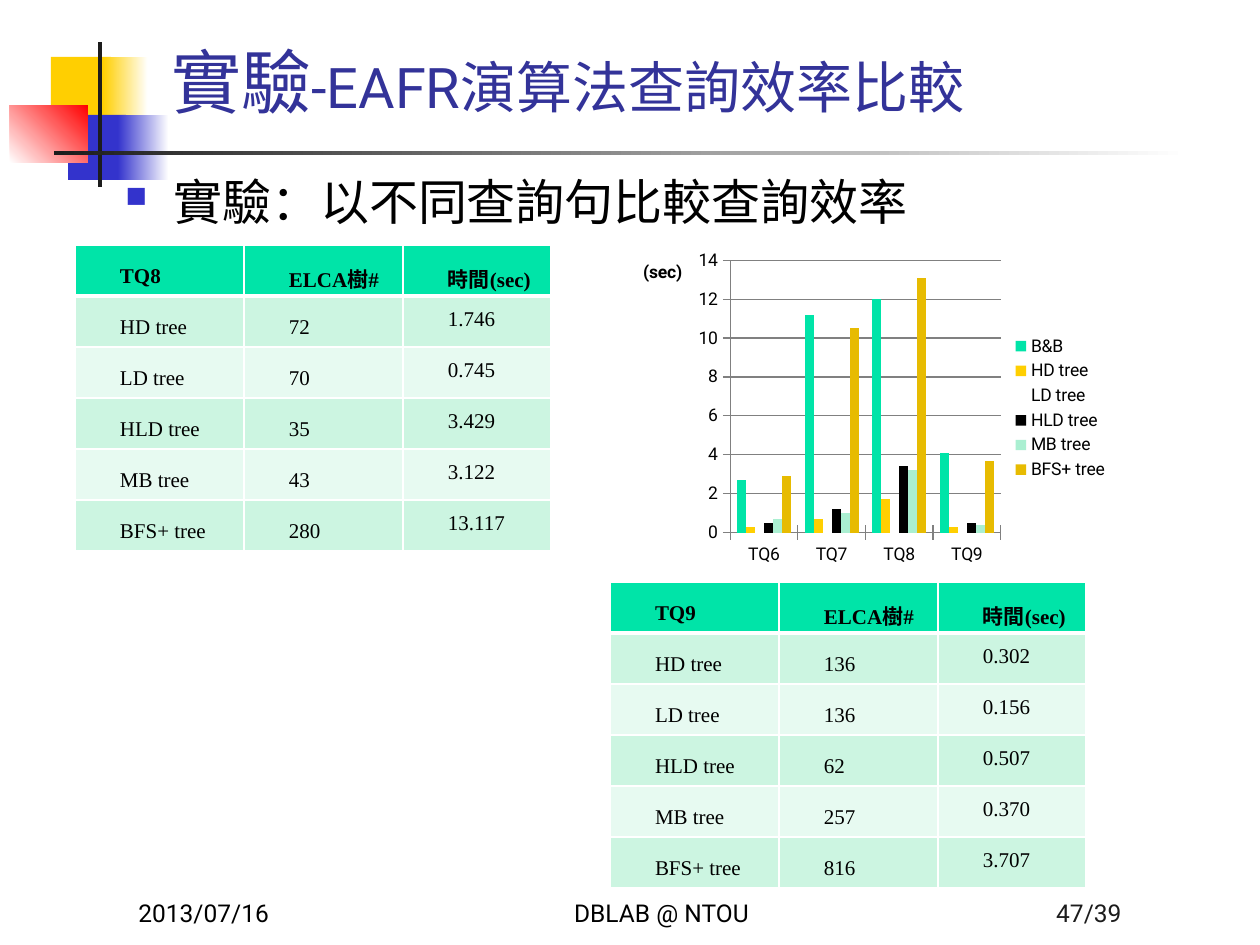
import pptx
import pptx.chart.data
import pptx.dml.color
import pptx.enum.chart
import pptx.enum.shapes
import pptx.enum.text
import pptx.oxml
import pptx.oxml.ns
import pptx.util
from lxml import etree

RGB = pptx.dml.color.RGBColor
YELLOW = RGB(0xFF, 0xCF, 0x01)
BLUE = RGB(0x33, 0x33, 0xCC)
RED = RGB(0xFF, 0x00, 0x00)
WHITE = RGB(0xFF, 0xFF, 0xFF)
BLACK = RGB(0x00, 0x00, 0x00)
CHARCOAL = RGB(0x1C, 0x1C, 0x1C)
NAVY = RGB(0x33, 0x33, 0x99)
GRAY = RGB(0x80, 0x80, 0x80)
GREEN = RGB(0x00, 0xE4, 0xA8)
MINT = RGB(0xAA, 0xEF, 0xD1)
GOLD = RGB(0xE7, 0xBB, 0x01)
BAND_DARK = RGB(0xCC, 0xF5, 0xE1)
BAND_LIGHT = RGB(0xE7, 0xFA, 0xF1)
SANS, SERIF = "Roboto", "Times New Roman"
ALIGN = pptx.enum.text.PP_ALIGN
ANCHOR = pptx.enum.text.MSO_ANCHOR
A_NS = pptx.oxml.ns.nsdecls("a")
C_NS = pptx.oxml.ns.nsdecls("c")


def px(*lengths):
    """Turn pixels (126 to the inch) into a list of EMU lengths."""
    return [pptx.util.Emu(round(n * 914400 / 126)) for n in lengths]


def add_text(frame, text, size=14, font=SANS, color=BLACK, bold=False,
             align=ALIGN.LEFT, anchor=ANCHOR.TOP):
    """Append a run to the frame's only paragraph and return the paragraph."""
    frame.word_wrap = True
    frame.vertical_anchor = anchor
    paragraph = frame.paragraphs[0]
    paragraph.alignment = align
    run = paragraph.add_run()
    run.text = text
    run.font.size = pptx.util.Pt(size)
    run.font.name = font
    run.font.bold = bold
    run.font.color.rgb = color
    return paragraph


deck = pptx.Presentation()
deck.slide_width, deck.slide_height = px(1260, 945)
slide = deck.slides.add_slide(deck.slide_layouts[6])
shapes = slide.shapes

# Corner ornament: box, start colour, end colour (None for solid), angle
ornament = [
    ((51, 57, 60, 65), YELLOW, None, 0),
    ((103, 57, 45, 65), YELLOW, WHITE, 0),
    ((68, 115, 58, 65), BLUE, None, 0),
    ((118, 115, 51, 65), BLUE, WHITE, 0),
    ((10, 105, 78, 58), WHITE, RED, 45),
    ((98, 42, 4, 145), CHARCOAL, None, 0),
    ((54, 151, 1134, 4), CHARCOAL, WHITE, 0),
]
for box, start, end, angle in ornament:
    block = shapes.add_shape(pptx.enum.shapes.MSO_SHAPE.RECTANGLE, *px(*box))
    block.shadow.inherit = False
    block.line.fill.background()
    if end is None:
        block.fill.solid()
        block.fill.fore_color.rgb = start
    else:
        block.fill.gradient()
        block.fill.gradient_angle = angle
        for stop, color, position in zip(block.fill.gradient_stops, (start, end), (0, 1)):
            stop.color.rgb = color
            stop.position = position

# Title
title = shapes.add_textbox(*px(159, 21, 1074, 108)).text_frame
add_text(title, "實驗", size=40, color=NAVY, anchor=ANCHOR.BOTTOM)
add_text(title, "-EAFR演算法查詢效率比較", size=32, color=NAVY, anchor=ANCHOR.BOTTOM)

# Bullet line
topic = shapes.add_textbox(*px(113, 165, 963, 159)).text_frame
topic_props = topic.paragraphs[0]._p.get_or_add_pPr()
indent = px(48)[0]
topic_props.set("marL", str(indent))
topic_props.set("indent", str(-indent))
for bullet in (f'<a:buClr {A_NS}><a:srgbClr val="{BLUE}"/></a:buClr>',
               f'<a:buSzPct {A_NS} val="60000"/>',
               f'<a:buChar {A_NS} char="■"/>'):
    topic_props.append(pptx.oxml.parse_xml(bullet))
add_text(topic, "實驗：以不同查詢句比較查詢效率", size=28, font=SERIF)

# Footer
for left, width, text, align, color in (
        (126, 262, "2013/07/16", ALIGN.LEFT, BLACK),
        (462, 399, "DBLAB @ NTOU", ALIGN.CENTER, BLACK),
        (872, 262, "47/39", ALIGN.RIGHT, CHARCOAL)):
    footer = shapes.add_textbox(*px(left, 871, width, 63)).text_frame
    add_text(footer, text, color=color, align=align, anchor=ANCHOR.BOTTOM)

# Query time chart
timings = pptx.chart.data.CategoryChartData()
timings.categories = ["TQ6", "TQ7", "TQ8", "TQ9"]
series_data = [
    ("B&B", (2.7, 11.2, 12, 4.1), GREEN),
    ("HD tree", (0.3, 0.7, 1.7, 0.3), YELLOW),
    ("LD tree", (0.2, 0.5, 0.8, 0.2), WHITE),
    ("HLD tree", (0.5, 1.2, 3.4, 0.5), BLACK),
    ("MB tree", (0.7, 1, 3.2, 0.4), MINT),
    ("BFS+ tree", (2.9, 10.5, 13.1, 3.7), GOLD),
]
for name, values, _ in series_data:
    timings.add_series(name, values)
chart = shapes.add_chart(pptx.enum.chart.XL_CHART_TYPE.COLUMN_CLUSTERED,
                         *px(620, 244, 501, 328), timings).chart
chart.font.size = pptx.util.Pt(10)
chart.font.name = SANS
chart.font.color.rgb = BLACK
chart.has_title = False
chart.has_legend = True
chart.legend.position = pptx.enum.chart.XL_LEGEND_POSITION.RIGHT
chart.legend.include_in_layout = False
plot = chart.plots[0]
plot.vary_by_categories = False
plot.gap_width, plot.overlap = 150, 0
for series, (_, _, color) in zip(plot.series, series_data):
    series.format.fill.solid()
    series.format.fill.fore_color.rgb = color
    series.invert_if_negative = False

seconds = chart.value_axis
seconds.minimum_scale, seconds.maximum_scale, seconds.major_unit = 0, 14, 2
seconds.has_major_gridlines = True
for axis in (chart.category_axis, seconds):
    axis.major_tick_mark = pptx.enum.chart.XL_TICK_MARK.CROSS
    axis.format.line.color.rgb = GRAY
seconds.major_gridlines.format.line.color.rgb = GRAY
unit_label = seconds.axis_title.text_frame
add_text(unit_label, "(sec)", size=10, bold=True)
unit_label._txBody.bodyPr.set("rot", "0")
unit_label._txBody.bodyPr.set("vert", "horz")

# Fixed places inside the chart, as fractions of its size
for owner, index, places in (
        (seconds.axis_title._element, 1, {"x": 0.04, "y": 0.04}),
        (chart._chartSpace.chart.plotArea, 0, {"x": 0.22, "y": 0.05, "w": 0.54, "h": 0.83})):
    for old in owner.findall(pptx.oxml.ns.qn("c:layout")):
        owner.remove(old)
    target = '<c:layoutTarget val="inner"/>' if "w" in places else ""
    modes = '<c:xMode val="edge"/><c:yMode val="edge"/>'
    sizes = "".join(f'<c:{key} val="{value}"/>' for key, value in places.items())
    owner.insert(index, pptx.oxml.parse_xml(
        f"<c:layout {C_NS}><c:manualLayout>{target}{modes}{sizes}</c:manualLayout></c:layout>"))

# Result tables: place, query, tree counts and times
trees = ["HD tree", "LD tree", "HLD tree", "MB tree", "BFS+ tree"]
results = [
    (75, 245, "TQ8", ["72", "70", "35", "43", "280"],
     ["1.746", "0.745", "3.429", "3.122", "13.117"]),
    (610, 582, "TQ9", ["136", "136", "62", "257", "816"],
     ["0.302", "0.156", "0.507", "0.370", "3.707"]),
]
for left, top, query, counts, times in results:
    rows = [(query, "ELCA樹#", "時間(sec)"), *zip(trees, counts, times)]
    table = shapes.add_table(len(rows), 3, *px(left, top, 476, 306)).table
    for column, width in zip(table.columns, px(169, 159, 148)):
        column.width = width
    for r, row in enumerate(rows):
        table.rows[r].height = px(51)[0]
        for c, text in enumerate(row):
            cell = table.cell(r, c)
            cell.margin_left, cell.margin_right, cell.margin_top, cell.margin_bottom = px(3, 3, 0, 0)
            cell.fill.solid()
            cell.fill.fore_color.rgb = GREEN if r == 0 else (BAND_LIGHT, BAND_DARK)[r % 2]
            paragraph = add_text(cell.text_frame, text, size=12, font=SERIF, bold=r == 0)
            paragraph.line_spacing = 1.5
            paragraph._p.get_or_add_pPr().set("indent", str(px(42)[0]))
            cell.vertical_anchor = ANCHOR.TOP if r and c == 2 else ANCHOR.MIDDLE
            borders = {"L": 1, "R": 1, "T": 3 if r == 1 else 1, "B": 3 if r == 0 else 1}
            for i, (side, points) in enumerate(borders.items()):
                cell._tc.get_or_add_tcPr().insert(i, etree.fromstring(
                    f'<a:ln{side} {A_NS} w="{points * 12700}"><a:solidFill>'
                    f'<a:srgbClr val="{WHITE}"/></a:solidFill></a:ln{side}>'))

deck.save("out.pptx")
